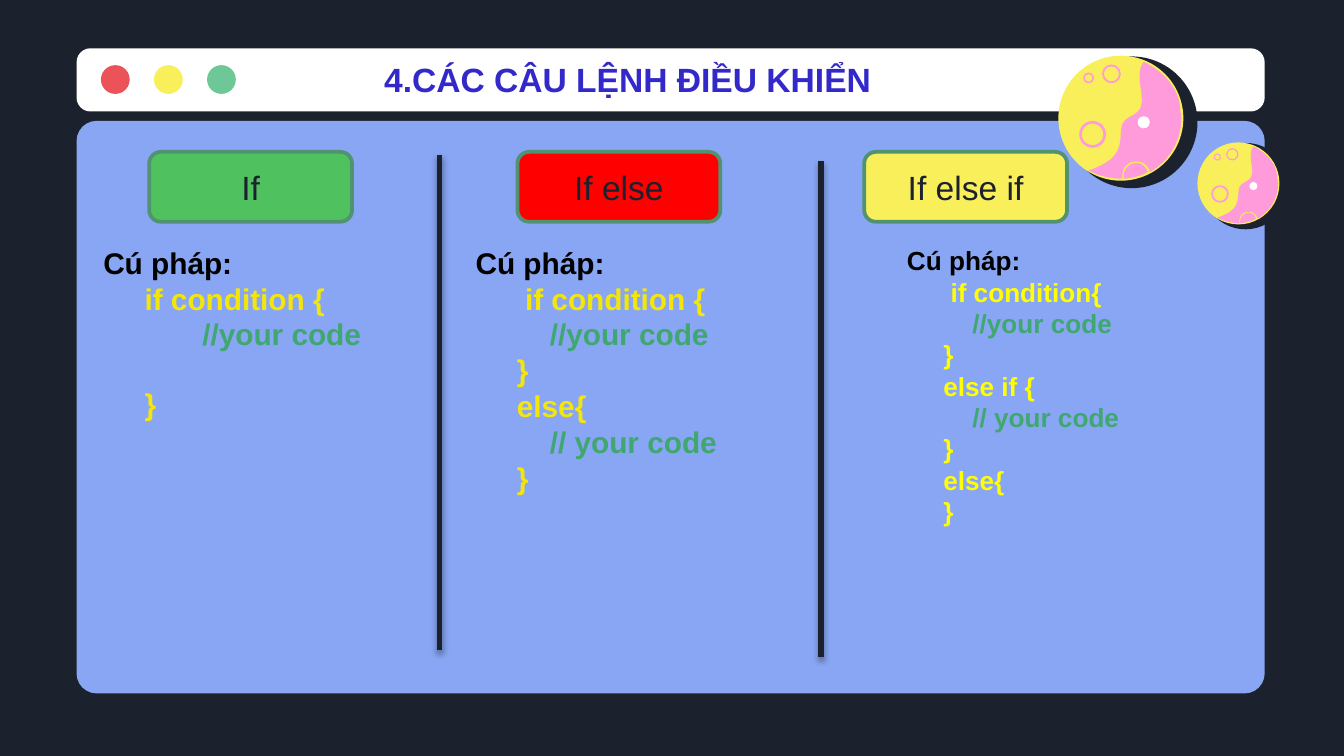
from lxml import etree
from pptx import Presentation
from pptx import util as u
from pptx.dml.color import RGBColor
from pptx.enum import shapes, text
from pptx.oxml import ns

# The slide is a grid of square cells, 100 columns by 56.25 rows.
CELL = u.Inches(0.1)
COLUMNS, ROWS = 100, 56.25

NIGHT = RGBColor(0x1B, 0x22, 0x2D)
PANEL = RGBColor(0x88, 0xA6, 0xF3)
WHITE = RGBColor(0xFF, 0xFF, 0xFF)
BLACK = RGBColor(0x00, 0x00, 0x00)
CORAL = RGBColor(0xEB, 0x53, 0x58)
LEMON = RGBColor(0xF8, 0xEF, 0x5B)
MINT = RGBColor(0x6D, 0xC7, 0x97)
PINK = RGBColor(0xFF, 0x9B, 0xDA)
INDIGO = RGBColor(0x33, 0x29, 0xCB)
GREEN = RGBColor(0x4F, 0xC2, 0x5F)
RED = RGBColor(0xFF, 0x00, 0x00)
EDGE = RGBColor(0x51, 0x93, 0x70)
GOLD = RGBColor(0xF4, 0xE6, 0x0A)
YELLOW = RGBColor(0xFF, 0xFF, 0x00)
COMMENT = RGBColor(0x40, 0xA7, 0x70)

OVAL = shapes.MSO_SHAPE.OVAL
DONUT = shapes.MSO_SHAPE.DONUT
ROUNDED = shapes.MSO_SHAPE.ROUNDED_RECTANGLE

# Planet outlines: a start point, then cubic curves (two controls and an end),
# measured from the planet's centre.
PINK_SIDE = [
    (0.17, -0.42),
    (0.25, -0.38), (0.32, -0.33), (0.37, -0.26),
    (0.39, -0.23), (0.41, -0.2), (0.42, -0.17),
    (0.43, -0.14), (0.44, -0.11), (0.44, -0.08),
    (0.48, 0.11), (0.39, 0.3), (0.22, 0.4),
    (0.21, 0.37), (0.18, 0.34), (0.16, 0.33),
    (0.13, 0.32), (0.1, 0.32), (0.07, 0.33),
    (0.05, 0.34), (0.03, 0.36), (0.02, 0.38),
    (0.01, 0.41), (0.01, 0.43), (0.01, 0.45),
    (-0.08, 0.45), (-0.16, 0.43), (-0.24, 0.39),
    (-0.05, 0.32), (0, 0.26), (0, 0.1),
    (0, -0.07), (0.2, 0.04), (0.15, -0.21),
    (0.13, -0.32), (0.14, -0.38), (0.17, -0.42),
]
PINK_CRATER = [
    (0.2, 0.4),
    (0.19, 0.37), (0.17, 0.35), (0.15, 0.34),
    (0.13, 0.33), (0.1, 0.33), (0.08, 0.34),
    (0.06, 0.35), (0.04, 0.37), (0.03, 0.39),
    (0.02, 0.41), (0.02, 0.43), (0.02, 0.45),
    (0.07, 0.45), (0.15, 0.43), (0.2, 0.4),
]


def cells(*lengths):
    return [u.Emu(round(length * CELL)) for length in lengths]


def add_shape(page, kind, area, fill, adjust=None):
    shape = page.shapes.add_shape(kind, *cells(*area))
    shape.shadow.inherit = False
    shape.fill.solid()
    shape.fill.fore_color.rgb = fill
    shape.line.fill.background()
    if adjust is not None:
        shape.adjustments[0] = adjust
    return shape


def add_disc(page, x, y, radius, fill, kind=OVAL, adjust=None):
    area = (x - radius, y - radius, 2 * radius, 2 * radius)
    return add_shape(page, kind, area, fill, adjust)


def write(para, words, color, **formats):
    span = para.add_run()
    span.text = words
    span.font.color.rgb = color
    for name, value in {"name": "Arial", **formats}.items():
        setattr(span.font, name, value)


def add_text_box(page, area):
    box = page.shapes.add_textbox(*cells(*area))
    box.text_frame.word_wrap = True
    box.text_frame.auto_size = text.MSO_AUTO_SIZE.SHAPE_TO_FIT_TEXT
    return box.text_frame


def curve_points(outline, steps=8):
    """Points along the cubic curves of an outline."""
    points = [outline[0]]
    for first in range(1, len(outline), 3):
        corners = [points[-1], *outline[first:first + 3]]
        for step in range(1, steps + 1):
            t = step / steps
            weights = ((1 - t) ** 3, 3 * t * (1 - t) ** 2, 3 * t * t * (1 - t), t ** 3)
            points.append(tuple(
                sum(weight * corner[axis] for weight, corner in zip(weights, corners))
                for axis in (0, 1)))
    return points


def add_planet(page, x, y, size):
    def disc(dx, dy, radius, *look):
        add_disc(page, x + dx * size, y + dy * size, radius * size, *look)

    disc(0.08, 0.03, 0.49, NIGHT)
    disc(0, 0, 0.465, LEMON)
    for dx, dy, radius, rim in ((-0.07, -0.33, 0.07, 0.1),
                                (-0.21, 0.12, 0.1, 0.1),
                                (-0.24, -0.3, 0.04, 0.15)):
        disc(dx, dy, radius, PINK, DONUT, rim)

    side, crater = [
        [cells(x + dx * size, y + dy * size) for dx, dy in curve_points(outline)]
        for outline in (PINK_SIDE, PINK_CRATER)]
    builder = page.shapes.build_freeform(*side[0])
    builder.add_line_segments(side[1:], close=True)
    builder.move_to(*crater[0])
    builder.add_line_segments(crater[1:], close=True)
    surface = builder.convert_to_shape()
    surface.shadow.inherit = False
    surface.fill.solid()
    surface.fill.fore_color.rgb = PINK
    surface.line.fill.background()
    disc(0.17, 0.03, 0.045, WHITE)


def add_label(page, left, words, fill):
    label = add_shape(page, ROUNDED, (left, 11.3, 15.1, 5.2), fill)
    label.line.color.rgb = EDGE
    label.line.width = u.Pt(2)
    label.text_frame.vertical_anchor = text.MSO_ANCHOR.MIDDLE
    para = label.text_frame.paragraphs[0]
    para.alignment = text.PP_ALIGN.CENTER
    write(para, words, NIGHT, size=u.Pt(18))


def add_divider(page, x, top):
    line = page.shapes.add_connector(
        shapes.MSO_CONNECTOR.STRAIGHT, *cells(x, top, x, top + 36.9))
    line.line.color.rgb = NIGHT
    line.line.width = u.Pt(3)
    effects = etree.SubElement(line._element.spPr, ns.qn("a:effectLst"))
    shadow = etree.SubElement(effects, ns.qn("a:outerShdw"), blurRad="40000",
                              dist="23000", dir="5400000", rotWithShape="0")
    tint = etree.SubElement(shadow, ns.qn("a:srgbClr"), val="000000")
    etree.SubElement(tint, ns.qn("a:alpha"), val="35000")


def add_syntax(page, left, size, color, lines):
    """A heading and code lines, with comments in their own colour."""
    height = 1 + (len(lines) + 1) * size / 6
    frame = add_text_box(page, (left, 17.7, 25.9, height))
    formats = {"size": u.Pt(size), "bold": True}
    write(frame.paragraphs[0], "Cú pháp:", BLACK, **formats)
    for line in lines:
        write(frame.add_paragraph(), line, COMMENT if "//" in line else color, **formats)
    return frame


def main():
    deck = Presentation()
    deck.slide_width, deck.slide_height = cells(COLUMNS, ROWS)
    page = deck.slides.add_slide(deck.slide_layouts[6])
    page.background.fill.solid()
    page.background.fill.fore_color.rgb = NIGHT

    add_shape(page, ROUNDED, (5.7, 9, 88.4, 42.6), PANEL, 0.035)
    add_shape(page, ROUNDED, (5.7, 3.6, 88.4, 4.7), WHITE, 0.22)
    for index, color in enumerate((CORAL, LEMON, MINT)):
        add_disc(page, 8.58 + 3.95 * index, 5.92, 1.07, color)
    add_planet(page, 83.4, 8.8, 10)
    add_planet(page, 92.15, 13.65, 6.56)

    title = add_text_box(page, (27.6, 3.9, 40.6, 4))
    write(title.paragraphs[0], "4.CÁC CÂU LỆNH ĐIỀU KHIỂN", INDIGO,
          size=u.Pt(18), bold=True)

    for left, words, fill in ((11.1, "If", GREEN), (38.5, "If else", RED),
                              (64.3, "If else if", LEMON)):
        add_label(page, left, words, fill)
    for x, top in ((32.7, 11.5), (61.1, 12)):
        add_divider(page, x, top)

    simple = add_syntax(page, 6.7, 16, GOLD, [
        "     if condition {", "            //your code", "     }"])
    simple.paragraphs[-1].space_before = u.Pt(18)
    add_syntax(page, 34.4, 16, GOLD, [
        "      if condition {", "         //your code", "     }",
        "     else{", "         // your code", "     }"])
    add_syntax(page, 66.5, 14, YELLOW, [
        "      if condition{", "         //your code", "     }",
        "     else if {", "         // your code", "     }",
        "     else{", "     }"])

    deck.save("out.pptx")


if __name__ == "__main__":
    main()
